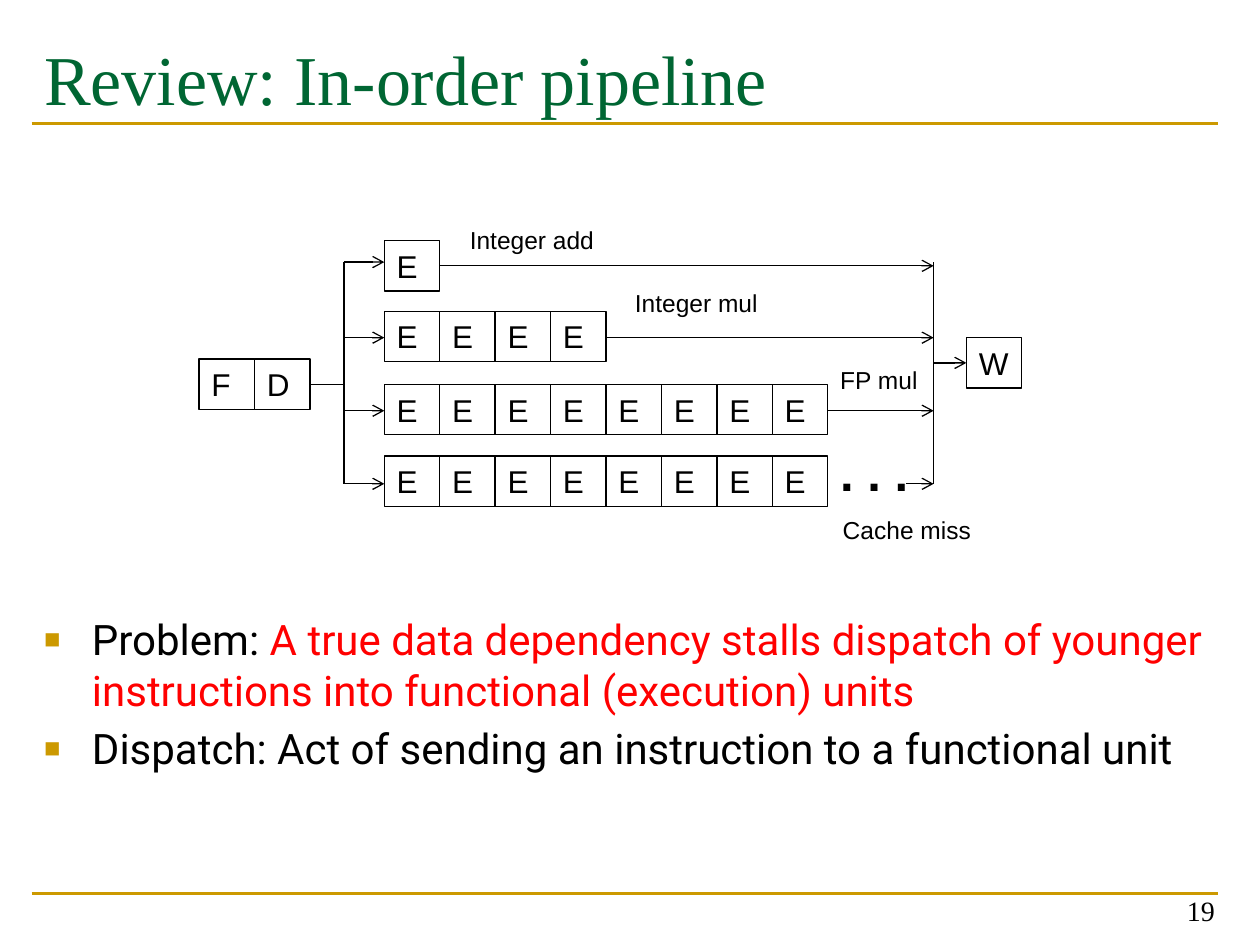
from dataclasses import dataclass

from lxml import etree
from pptx import Presentation
from pptx.dml.color import RGBColor
from pptx.enum.shapes import MSO_CONNECTOR, MSO_SHAPE
from pptx.enum.text import MSO_ANCHOR, MSO_AUTO_SIZE, PP_ALIGN
from pptx.oxml.ns import qn
from pptx.util import Inches, Pt

STRAIGHT = MSO_CONNECTOR.STRAIGHT
RECTANGLE = MSO_SHAPE.RECTANGLE
TOP, MIDDLE, BOTTOM = MSO_ANCHOR.TOP, MSO_ANCHOR.MIDDLE, MSO_ANCHOR.BOTTOM
LEFT, RIGHT = PP_ALIGN.LEFT, PP_ALIGN.RIGHT


@dataclass(frozen=True)
class Theme:
    title_font: str = "Times New Roman"
    body_font: str = "Roboto"
    diagram_font: str = "Arial"
    ink: str = "000000"
    paper: str = "FFFFFF"
    green: str = "006633"
    gold: str = "CC9900"
    red: str = "FF0000"
    title_size: int = 40
    body_size: int = 24
    stage_size: int = 18
    label_size: int = 14
    dots_size: int = 28
    number_size: int = 16
    rule_width: float = 1.5
    line_width: float = 0.75


THEME = Theme()

TITLE = "Review: In-order pipeline"
BULLETS = [
    [("Problem: ", THEME.ink),
     ("A true data dependency stalls dispatch of younger "
      "instructions into functional (execution) units", THEME.red)],
    [("Dispatch: Act of sending an instruction to a functional unit", THEME.ink)],
]
PAGE_NUMBER = "19"
RULE_HEIGHTS = [0.98, 7.09]

STAGE_WIDTH, STAGE_HEIGHT = 0.44, 0.4
UNITS_LEFT = 3.05
FORK_X, JOIN_X = 2.73, 7.41
BUS_TOP, BUS_BOTTOM = 2.08, 3.84
STAGE_ROWS = [
    ("FD", 1.58, 2.85),
    ("E", UNITS_LEFT, 1.91),
    ("E" * 4, UNITS_LEFT, 2.47),
    ("E" * 8, UNITS_LEFT, 3.05),
    ("E" * 8, UNITS_LEFT, 3.62),
    ("W", 7.67, 2.68),
]
FORK_HEIGHTS = [BUS_TOP, 2.68, 3.26, BUS_BOTTOM]
UNIT_EXITS = [(3.49, 2.11), (4.81, 2.68), (6.57, 3.26), (7.19, BUS_BOTTOM)]
LABELS = [
    ("Integer add", 3.63, 1.74, 1.19),
    ("Integer mul", 4.94, 2.24, 1.18),
    ("FP mul", 6.57, 2.85, 0.82),
    ("Cache miss", 6.59, 4.04, 1.34),
]


def color(value):
    return RGBColor.from_string(value)


def set_font(font, name, size, value, bold=False):
    font.name = name
    font.size = Pt(size)
    font.bold = bold
    font.color.rgb = color(value)


def place(shape, left, top, width, height):
    shape.left, shape.top = Inches(left), Inches(top)
    shape.width, shape.height = Inches(width), Inches(height)


def add_line(slide, start, end, value=THEME.ink, width=THEME.line_width, arrow=False):
    line = slide.shapes.add_connector(STRAIGHT, *map(Inches, (*start, *end)))
    line.line.color.rgb = color(value)
    line.line.width = Pt(width)
    if arrow:
        etree.SubElement(line.line._get_or_add_ln(), qn("a:tailEnd"), type="arrow")
    etree.SubElement(line._element.spPr, qn("a:effectLst"))


def add_stage(slide, letter, left, top):
    stage = slide.shapes.add_shape(
        RECTANGLE, *map(Inches, (left, top, STAGE_WIDTH, STAGE_HEIGHT)))
    stage.shadow.inherit = False
    stage.fill.solid()
    stage.fill.fore_color.rgb = color(THEME.paper)
    stage.line.color.rgb = color(THEME.ink)
    stage.line.width = Pt(THEME.line_width)
    stage.text_frame.text = letter
    stage.text_frame.vertical_anchor = MIDDLE
    paragraph = stage.text_frame.paragraphs[0]
    paragraph.alignment = LEFT
    set_font(paragraph.font, THEME.diagram_font, THEME.stage_size, THEME.ink)


def add_text(slide, text, box, name, size, bold=False, wrap=False,
             alignment=LEFT, anchor=TOP):
    frame = slide.shapes.add_textbox(*map(Inches, box)).text_frame
    frame.text = text
    frame.word_wrap = wrap
    frame.vertical_anchor = anchor
    paragraph = frame.paragraphs[0]
    paragraph.alignment = alignment
    set_font(paragraph.font, name, size, THEME.ink, bold)


def fill_title(title):
    place(title, 0.25, 0.17, 9.42, 1.17)
    frame = title.text_frame
    frame.text = TITLE
    frame.auto_size = MSO_AUTO_SIZE.NONE
    frame.vertical_anchor = TOP
    frame.margin_top = Inches(0.11)
    paragraph = frame.paragraphs[0]
    paragraph.alignment = LEFT
    set_font(paragraph.font, THEME.title_font, THEME.title_size, THEME.green)


def add_bullet(paragraph):
    properties = paragraph._p.get_or_add_pPr()
    properties.set("marL", str(Inches(0.38)))
    properties.set("indent", str(-Inches(0.38)))
    bullet_color = etree.SubElement(properties, qn("a:buClr"))
    etree.SubElement(bullet_color, qn("a:srgbClr"), val=THEME.gold)
    etree.SubElement(properties, qn("a:buSzPct"), val="65000")
    etree.SubElement(properties, qn("a:buFont"), typeface=THEME.diagram_font)
    etree.SubElement(properties, qn("a:buChar"), char="■")


def fill_body(body):
    place(body, 0.25, 4.82, 9.42, 1.95)
    frame = body.text_frame
    frame.auto_size = MSO_AUTO_SIZE.NONE
    for index, pieces in enumerate(BULLETS):
        paragraph = frame.add_paragraph() if index else frame.paragraphs[0]
        add_bullet(paragraph)
        for text, value in pieces:
            run = paragraph.add_run()
            run.text = text
            set_font(run.font, THEME.body_font, THEME.body_size, value)


def draw_pipeline(slide):
    for letters, left, top in STAGE_ROWS:
        for index, letter in enumerate(letters):
            add_stage(slide, letter, left + index * STAGE_WIDTH, top)
    add_text(slide, ". . .", (6.57, 3.46, 0.75, 0.57),
             THEME.diagram_font, THEME.dots_size, bold=True)
    add_line(slide, (2.46, 3.05), (FORK_X, 3.05))
    for x in (FORK_X, JOIN_X):
        add_line(slide, (x, BUS_TOP), (x, BUS_BOTTOM))
    for y in FORK_HEIGHTS:
        add_line(slide, (FORK_X, y), (UNITS_LEFT, y), arrow=True)
    for x, y in UNIT_EXITS:
        add_line(slide, (x, y), (JOIN_X, y), arrow=True)
    add_line(slide, (JOIN_X, 2.88), (7.67, 2.88), arrow=True)
    for text, left, top, width in LABELS:
        add_text(slide, text, (left, top, width, 0.34),
                 THEME.diagram_font, THEME.label_size)


def main():
    presentation = Presentation()
    presentation.slide_width, presentation.slide_height = Inches(10), Inches(7.5)
    slide = presentation.slides.add_slide(presentation.slide_layouts[1])
    for y in RULE_HEIGHTS:
        add_line(slide, (0.25, y), (9.67, y), THEME.gold, THEME.rule_width)
    fill_title(slide.shapes.title)
    fill_body(slide.placeholders[1])
    add_text(slide, PAGE_NUMBER, (7.41, 6.91, 2.33, 0.5), THEME.title_font,
             THEME.number_size, wrap=True, alignment=RIGHT, anchor=BOTTOM)
    draw_pipeline(slide)
    presentation.save("out.pptx")


if __name__ == "__main__":
    main()
